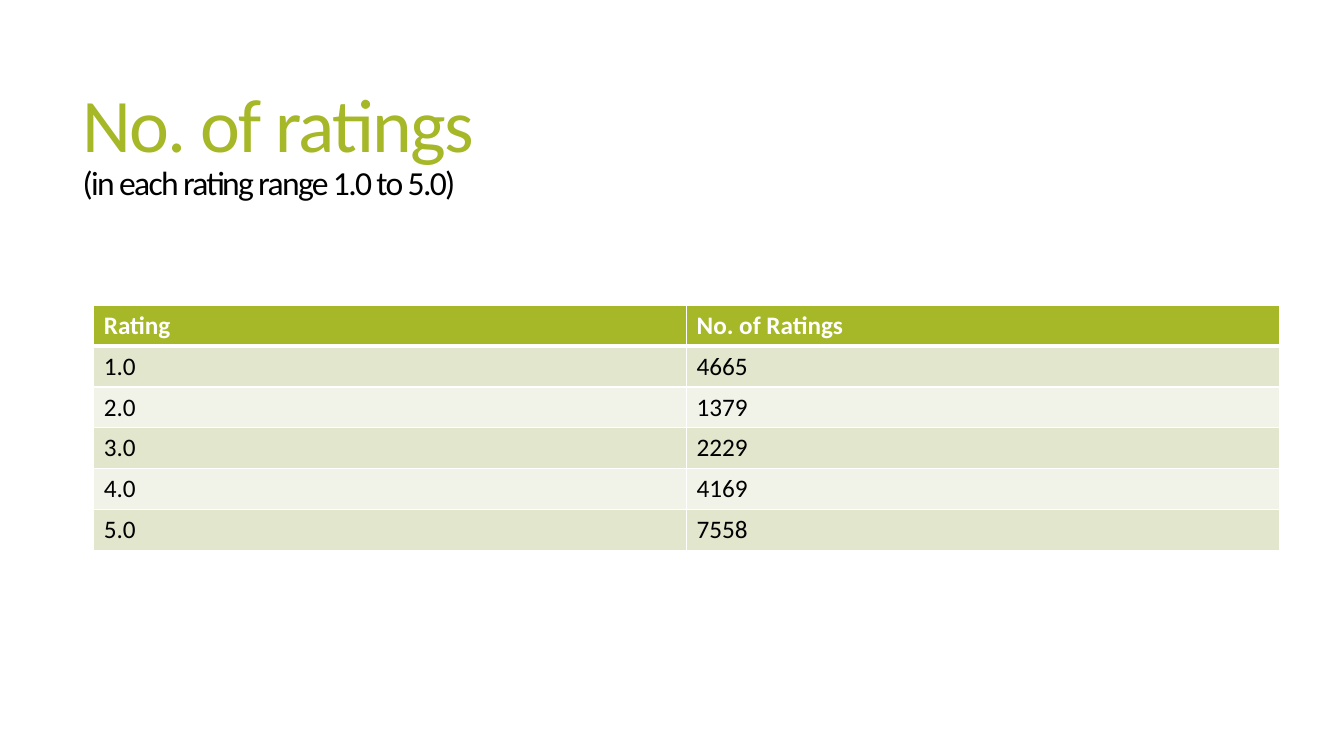
from lxml import etree
from pptx import Presentation
from pptx.dml.color import RGBColor
from pptx.enum.text import MSO_ANCHOR
from pptx.oxml import parse_xml
from pptx.oxml.ns import nsdecls
from pptx.util import Inches, Pt

GREEN = RGBColor(0xA6, 0xB7, 0x27)
BLACK = RGBColor(0x00, 0x00, 0x00)
WHITE = RGBColor(0xFF, 0xFF, 0xFF)
BANDS = [RGBColor(0xF1, 0xF3, 0xE8), RGBColor(0xE1, 0xE6, 0xCD)]
FONT = "Calibri"
ROW_HEIGHT = Inches(0.405)
COLUMN_WIDTH = Inches(5.88)

RATINGS = [
    ("Rating", "No. of Ratings"),
    ("1.0", "4665"),
    ("2.0", "1379"),
    ("3.0", "2229"),
    ("4.0", "4169"),
    ("5.0", "7558"),
]


def add_borders(cell, top, bottom):
    properties = cell._tc.get_or_add_tcPr()
    sides = [("lnL", 1), ("lnR", 1), ("lnT", top), ("lnB", bottom)]
    for position, (side, width) in enumerate(sides):
        border = parse_xml(
            f'<a:{side} {nsdecls("a")} w="{Pt(width)}"><a:solidFill>'
            f'<a:srgbClr val="{WHITE}"/></a:solidFill></a:{side}>'
        )
        properties.insert(position, border)


presentation = Presentation()
presentation.slide_width = Inches(13.33)
presentation.slide_height = Inches(7.5)
slide = presentation.slides.add_slide(presentation.slide_layouts[6])

title = slide.shapes.add_textbox(Inches(0.72), Inches(0.55), Inches(11.78), Inches(1.81))
title.text_frame.word_wrap = True
title.text_frame.vertical_anchor = MSO_ANCHOR.MIDDLE
paragraph = title.text_frame.paragraphs[0]
paragraph.line_spacing = 0.85
paragraph.font.name = FONT
for text, size, color in [
    ("No. of ratings", 54, GREEN),
    ("(in each rating range 1.0 to 5.0)", 24, BLACK),
]:
    if paragraph.runs:
        paragraph.add_line_break()
    run = paragraph.add_run()
    run.text = text
    run.font.size = Pt(size)
    run.font.color.rgb = color
    run.font._element.set("spc", "-120")

table = slide.shapes.add_table(
    len(RATINGS), 2, Inches(0.93), Inches(3.03), 2 * COLUMN_WIDTH, len(RATINGS) * ROW_HEIGHT
).table
for row_index, values in enumerate(RATINGS):
    is_header = row_index == 0
    table.rows[row_index].height = ROW_HEIGHT
    for column_index, value in enumerate(values):
        cell = table.cell(row_index, column_index)
        cell.text = value
        cell.fill.solid()
        cell.fill.fore_color.rgb = GREEN if is_header else BANDS[row_index % 2]
        font = cell.text_frame.paragraphs[0].font
        font.name = FONT
        font.size = Pt(18)
        font.bold = is_header
        font.color.rgb = WHITE if is_header else BLACK
        add_borders(cell, top=3 if row_index == 1 else 1, bottom=3 if is_header else 1)

presentation.save("out.pptx")
